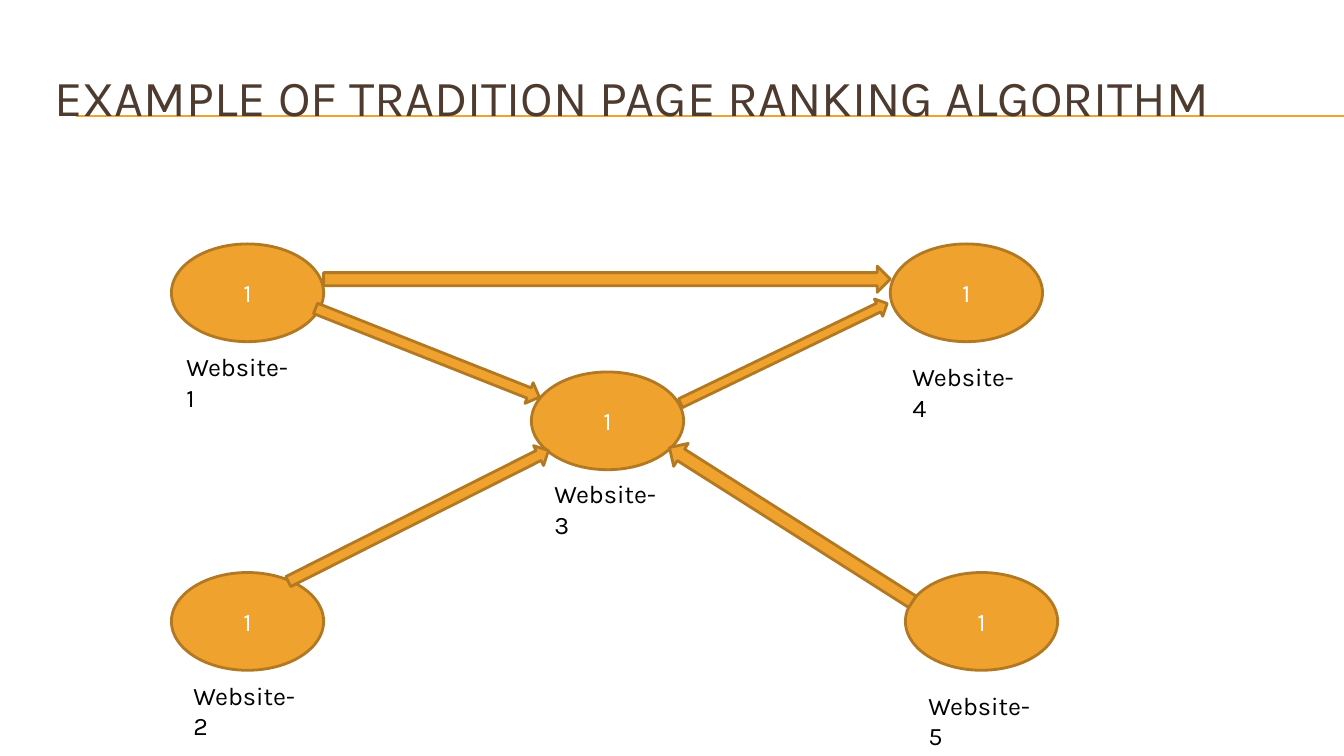
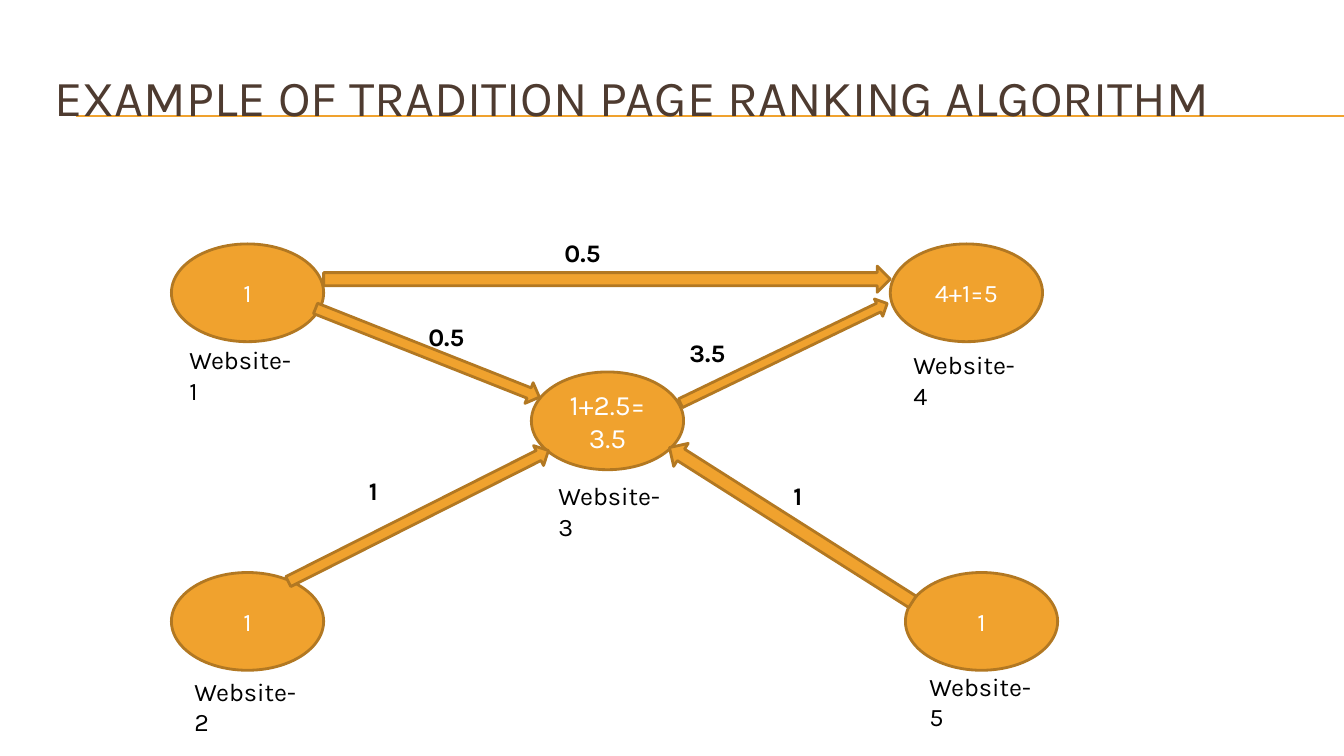
from math import atan2, degrees, hypot

from lxml.etree import SubElement
from pptx import Presentation
from pptx.dml.color import RGBColor
from pptx.enum.shapes import MSO_CONNECTOR, MSO_SHAPE
from pptx.enum.text import MSO_ANCHOR, PP_ALIGN
from pptx.oxml.ns import qn
from pptx.util import Inches, Pt

COLORS = {
    "accent": "F0A22E",
    "outline": "B27822",
    "title": "4E3B30",
    "body": "000000",
    "node_text": "FFFFFF",
}
FONT = "Karla"
TITLE = "EXAMPLE OF TRADITION PAGE RANKING ALGORITHM"
SLIDE_WIDTH, SLIDE_HEIGHT = 13.33, 7.5
TITLE_BOX = (0.44, 0.5, 12.67, 0.92)
GRAPH_ORIGIN = (1.7, 2.42)
NODE_SIZE = (1.51, 0.97)
CAPTION_SIZE = (1.26, 0.4)
WEIGHT_SIZE = (0.66, 0.4)

SITES = {1: (0, 0), 2: (0, 3.26), 3: (3.57, 1.27), 4: (7.13, 0), 5: (7.28, 3.26)}
LINKS = [
    ((1.43, 0.64), (3.65, 1.52), 0.22),
    ((5.05, 1.58), (7.1, 0.59), 0.19),
    ((7.35, 3.55), (4.94, 2.02), 0.27),
    ((1.16, 3.35), (3.74, 2.05), 0.22),
    ((1.51, 0.35), (7.13, 0.35), 0.26),
]

START = {
    "ranks": {site: ("1", 18) for site in SITES},
    "captions": {1: (0.05, 1.02), 2: (0.12, 4.28), 3: (3.7, 2.28),
                 4: (7.25, 1.12), 5: (7.41, 4.38)},
    "weights": [],
}
RANKED = {
    "ranks": START["ranks"] | {3: ("1+2.5=3.5", 20), 4: ("4+1=5", 18)},
    "captions": {1: (0.08, 0.95), 2: (0.13, 4.24), 3: (3.74, 2.3),
                 4: (7.26, 1), 5: (7.42, 4.19)},
    "weights": [("0.5", (2.45, 0.72)), ("0.5", (3.8, -0.11)), ("1", (1.86, 2.25)),
                ("1", (6.07, 2.3)), ("3.5", (5.04, 0.88))],
}


def color(name):
    return RGBColor.from_string(COLORS[name])


def write(shape, text, size, color_name, bold=False):
    frame = shape.text_frame
    frame.text = text
    frame.word_wrap = True
    font = frame.paragraphs[0].runs[0].font
    font.name, font.size, font.bold = FONT, Pt(size), bold
    font.color.rgb = color(color_name)
    return frame


def add_label(slide, box, text, size=18, color_name="body", bold=False):
    label = slide.shapes.add_textbox(*map(Inches, box))
    return write(label, text, size, color_name, bold)


def add_graph_shape(slide, kind, box):
    shape = slide.shapes.add_shape(kind, *map(Inches, box))
    shape.shadow.inherit = False
    shape.fill.solid()
    shape.fill.fore_color.rgb = color("accent")
    shape.line.color.rgb = color("outline")
    shape.line.width = Pt(2)
    return shape


def add_site(slide, box, rank, size):
    site = add_graph_shape(slide, MSO_SHAPE.OVAL, box)
    frame = write(site, rank, size, "node_text")
    frame.vertical_anchor = MSO_ANCHOR.MIDDLE
    frame.paragraphs[0].alignment = PP_ALIGN.CENTER


def add_link(slide, tail, tip, thickness):
    run, rise = tip[0] - tail[0], tip[1] - tail[1]
    length = hypot(run, rise)
    left = (tail[0] + tip[0] - length) / 2
    top = (tail[1] + tip[1] - thickness) / 2
    link = add_graph_shape(slide, MSO_SHAPE.RIGHT_ARROW, (left, top, length, thickness))
    link.rotation = degrees(atan2(rise, run)) % 360


def add_heading(slide, box):
    left, top, _, height = box
    for offset in (0.65, 0.66):
        rule = slide.shapes.add_connector(
            MSO_CONNECTOR.STRAIGHT, Inches(left + 0.31), Inches(top + offset),
            Inches(SLIDE_WIDTH), Inches(top + offset))
        rule.line.color.rgb = color("accent")
        rule.line.width = Pt(0.75)
        SubElement(rule._element.spPr, qn("a:effectLst"))
    heading = add_label(slide, box, TITLE, 36, "title")
    heading.vertical_anchor = MSO_ANCHOR.MIDDLE


def add_graph(slide, origin, state):
    def place(point):
        return origin[0] + point[0], origin[1] + point[1]

    for site, corner in SITES.items():
        add_site(slide, place(corner) + NODE_SIZE, *state["ranks"][site])
    for tail, tip, thickness in LINKS:
        add_link(slide, place(tail), place(tip), thickness)
    for weight, corner in state["weights"]:
        add_label(slide, place(corner) + WEIGHT_SIZE, weight, bold=True)
    for site, corner in state["captions"].items():
        add_label(slide, place(corner) + CAPTION_SIZE, f"Website-{site}")


def main():
    deck = Presentation()
    deck.slide_width, deck.slide_height = Inches(SLIDE_WIDTH), Inches(SLIDE_HEIGHT)
    for state in (START, RANKED):
        slide = deck.slides.add_slide(deck.slide_layouts[6])
        add_heading(slide, TITLE_BOX)
        add_graph(slide, GRAPH_ORIGIN, state)
    deck.save("out.pptx")


if __name__ == "__main__":
    main()
